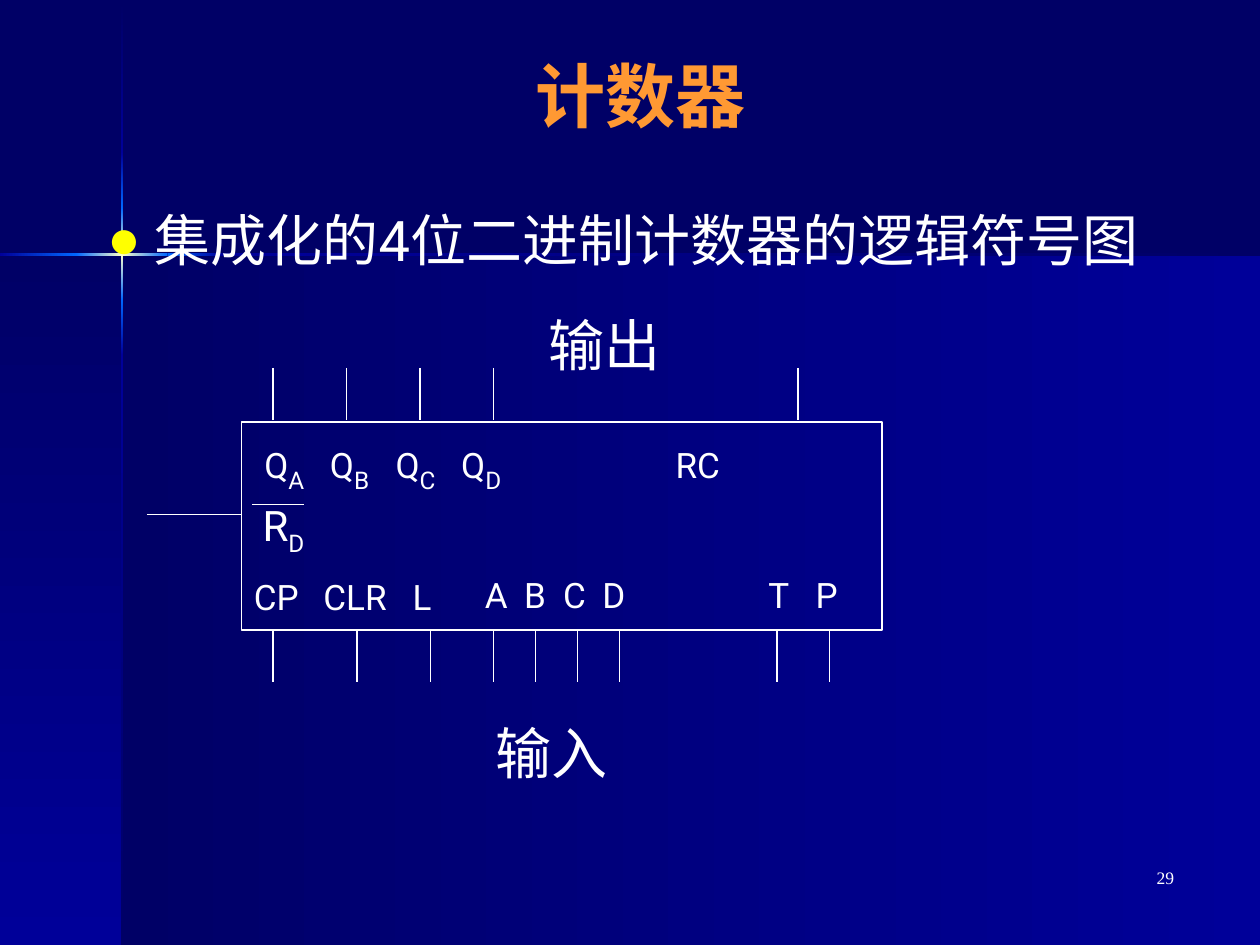
import itertools
import lxml.etree
import pptx
import pptx.dml.color
import pptx.enum.shapes
import pptx.enum.text
import pptx.oxml.ns
import pptx.util

Pt = pptx.util.Pt
qn = pptx.oxml.ns.qn
ALIGN = pptx.enum.text.PP_ALIGN
SHAPE = pptx.enum.shapes.MSO_SHAPE.RECTANGLE
LINE = pptx.enum.shapes.MSO_CONNECTOR.STRAIGHT
HUES = {
    "dark": "000066",
    "navy": "000099",
    "blue": "0066FF",
    "glow": "FFFFCC",
    "title": "FF9933",
    "dot": "FFFF00",
    "text": "FFFFFF",
}


def hue(name):
    return pptx.dml.color.RGBColor.from_string(HUES[name])


def node(root, tag, **attrs):
    return lxml.etree.SubElement(root, qn(tag), attrs)


def style(para, size, name="text", face="Roboto", bold=False):
    for run in para.runs:
        run.font.size = Pt(size)
        run.font.name = face
        run.font.bold = bold
        run.font.color.rgb = hue(name)


def place(shape, box):
    shape.left, shape.top, shape.width, shape.height = map(Pt, box)


def label(slide, box, text, size, align=ALIGN.LEFT, face="Roboto", wrap=True):
    frame = slide.shapes.add_textbox(*map(Pt, box)).text_frame
    frame.word_wrap = wrap
    frame.text = text
    para = frame.paragraphs[0]
    para.alignment = align
    style(para, size, face=face)
    return para


def set_tabs(para, stops):
    tabs = node(para._p.get_or_add_pPr(), "a:tabLst")
    for stop in stops:
        node(tabs, "a:tab", pos=str(Pt(stop)), algn="l")


def lower(para, text):
    run = para.add_run()
    run.text = text
    style(para, 20)
    return run


def blend(slide, box, names, angle):
    shape = slide.shapes.add_shape(SHAPE, *map(Pt, box))
    shape.shadow.inherit = False
    shape.line.fill.background()
    shape.fill.gradient()
    grad = shape._element.spPr.find(qn("a:gradFill"))
    for child in list(grad):
        grad.remove(child)
    stops = node(grad, "a:gsLst")
    for i, name in enumerate(names):
        stop = node(stops, "a:gs", pos=str(100000 * i // (len(names) - 1)))
        node(stop, "a:srgbClr", val=HUES[name])
    node(grad, "a:lin", ang=str(angle * 60000), scaled="0")


def wire(slide, x1, y1, x2, y2):
    line = slide.shapes.add_connector(LINE, *map(Pt, (x1, y1, x2, y2)))
    line.line.color.rgb = hue("text")
    line.line.width = Pt(0.75)
    node(line._element.spPr, "a:effectLst")


def backdrop(slide, box):
    x, y, w, h = box
    cx, cy, thick = x + 69.8, y + 145.4, 1.5
    slide.background.fill.solid()
    slide.background.fill.fore_color.rgb = hue("dark")
    blend(slide, (cx, cy, x + w - cx, y + h - cy), ("dark", "navy"), 0)
    blend(slide, (x, cy, cx - x, y + h - cy), ("dark", "navy"), 90)
    fades = [("dark", "navy"), ("navy", "blue"), ("blue", "glow", "blue"),
             ("blue", "navy"), ("navy", "dark")]
    rows = itertools.pairwise((0.7, 87.1, 118.8, 171.4, 203, h))
    for (a, b), fade in zip(rows, fades):
        blend(slide, (cx - thick / 2, y + a, thick, b - a), fade, 90)
    cols = itertools.pairwise((0, 43.5, 95.8, 127.4, w))
    for (a, b), fade in zip(cols, fades[1:]):
        blend(slide, (x + a, cy - thick / 2, b - a, thick), fade, 0)


def heading(slide, box):
    shape = slide.shapes.title
    place(shape, box)
    frame = shape.text_frame
    frame.auto_size = pptx.enum.text.MSO_AUTO_SIZE.NONE
    frame.vertical_anchor = pptx.enum.text.MSO_ANCHOR.MIDDLE
    frame.text = "计数器"
    para = frame.paragraphs[0]
    para.alignment = ALIGN.CENTER
    style(para, 40, "title", bold=True)


def topic(slide, box):
    shape = slide.placeholders[1]
    place(shape, box)
    frame = shape.text_frame
    frame.auto_size = pptx.enum.text.MSO_AUTO_SIZE.NONE
    frame.text = "集成化的4位二进制计数器的逻辑符号图"
    para = frame.paragraphs[0]
    para.space_before = Pt(0)
    props = para._p.get_or_add_pPr()
    props.set("marL", str(Pt(27)))
    props.set("indent", str(Pt(-27)))
    node(node(props, "a:buClr"), "a:srgbClr", val=HUES["dot"])
    node(props, "a:buChar", char="●")
    style(para, 32)


def chip(slide, box):
    x, y, w, h = box
    body = slide.shapes.add_shape(SHAPE, *map(Pt, box))
    body.shadow.inherit = False
    body.fill.background()
    body.line.color.rgb = hue("text")
    body.line.width = Pt(0.75)

    for dx in (18, 60, 102, 144, 318):
        wire(slide, x + dx, y - 31, x + dx, y - 1)
    for dx in (18, 66, 108, 144, 168, 192, 216, 306, 336):
        wire(slide, x + dx, y + h, x + dx, y + h + 30)
    wire(slide, x - 54, y + 53, x, y + 53)
    wire(slide, x + 6, y + 47, x + 36, y + 47)

    outs = label(slide, (x + 6, y + 5, 354, 31), "", 20)
    set_tabs(outs, (37.5, 75, 112.5, 235))
    for i, sub in enumerate("ABCD"):
        lower(outs, "\tQ" if i else "Q")
        lower(outs, sub)
    lower(outs, "\tRC")
    for run in outs.runs[1::2]:
        run.font.size = Pt(24)
        run._r.get_or_add_rPr().set("baseline", "-25000")

    reset = label(slide, (x - 12, y + 41, 72, 36), "R", 24, ALIGN.CENTER)
    run = lower(reset, "D")
    style(reset, 24)
    run._r.get_or_add_rPr().set("baseline", "-25000")

    rows = [
        (0, 84.2, 240, "CP\tCLR\tL", (39.7, 90.7)),
        (132, 82.8, 102, "A\tB\tC\tD", (22.4, 44.8, 67.2)),
        (294, 82.8, 56, "T\tP", (27,)),
    ]
    for dx, dy, wide, text, stops in rows:
        set_tabs(label(slide, (x + dx, y + dy, wide, 31), text, 20), stops)

    for dx, dy, text in ((168, -67, "输出"), (138, 165.6, "输入")):
        label(slide, (x + dx, y + dy, 78.5, 45), text, 32, ALIGN.CENTER, wrap=False)


def main():
    deck = pptx.Presentation()
    deck.slide_width, deck.slide_height = Pt(720), Pt(540)
    slide = deck.slides.add_slide(deck.slide_layouts[1])
    backdrop(slide, (0, 0, 720, 540))
    tree = slide.shapes._spTree
    for holder in list(slide.placeholders):
        tree.append(holder._element)
    heading(slide, (36, 24, 660, 60))
    topic(slide, (54, 114, 624, 366))
    chip(slide, (138, 241.2, 366, 118.8))
    label(slide, (528, 492, 150, 36), "29", 10, ALIGN.RIGHT, "Times New Roman")
    deck.save("out.pptx")


if __name__ == "__main__":
    main()
